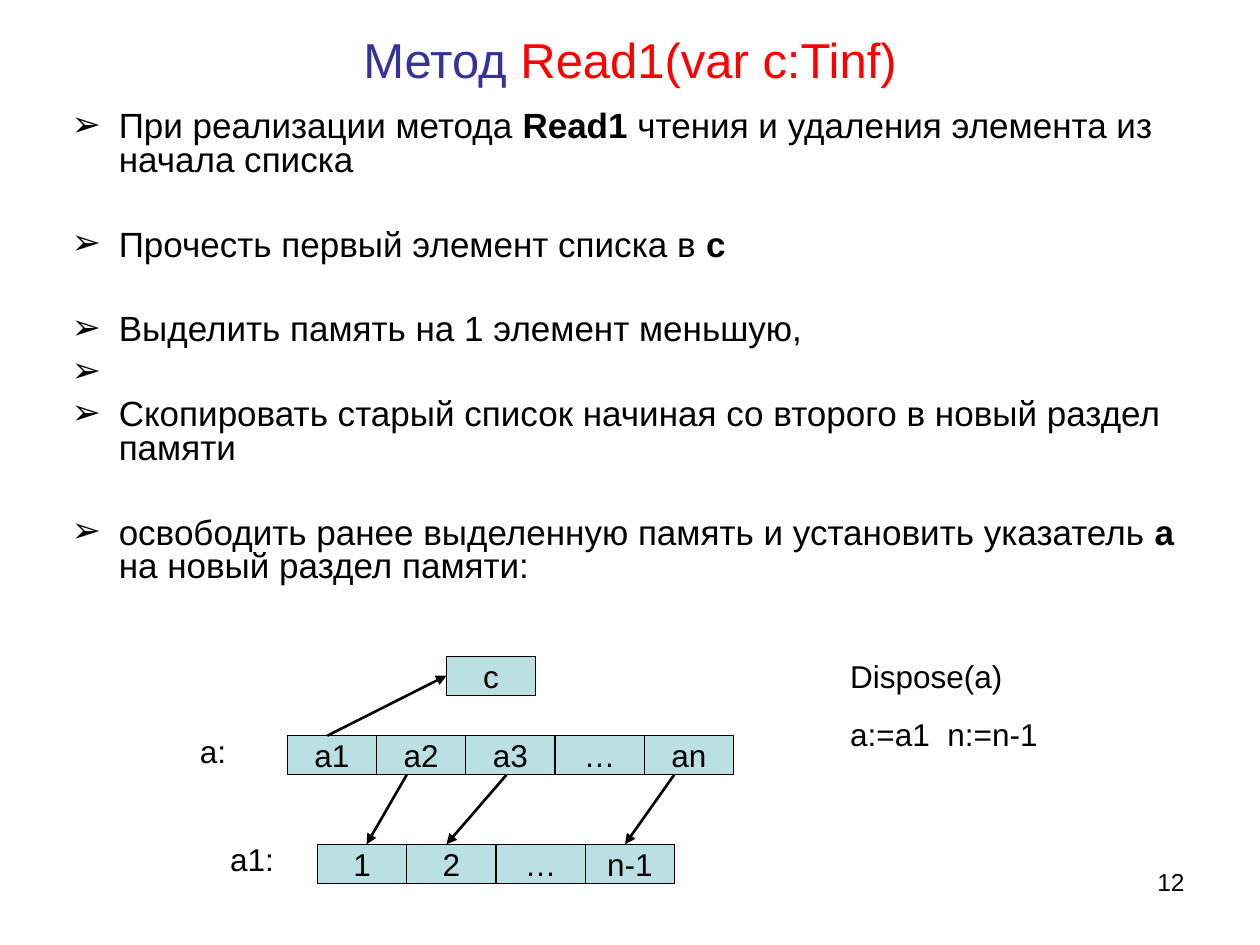
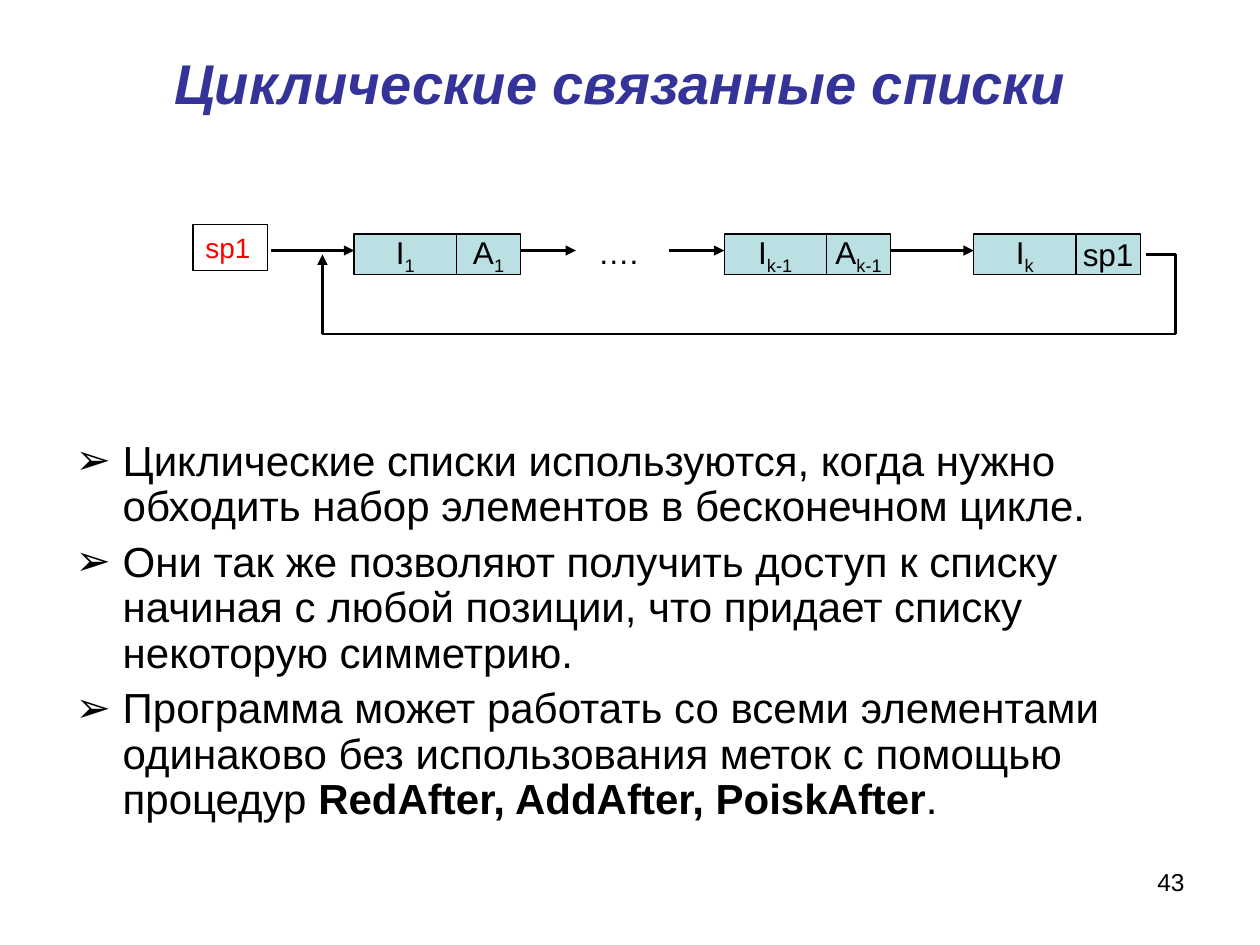
from dataclasses import dataclass
from itertools import accumulate
from typing import NamedTuple, Optional

from lxml.etree import SubElement
from pptx import Presentation
from pptx.dml.color import RGBColor as Rgb
from pptx.enum.shapes import MSO_CONNECTOR as Link, MSO_SHAPE as Form
from pptx.enum.text import MSO_ANCHOR as Anchor, MSO_AUTO_SIZE as Fit, PP_ALIGN as Align
from pptx.oxml.ns import qn
from pptx.util import Cm, Pt


@dataclass(frozen=True)
class Theme:
    font: str = "Arial"
    ink: str = "000000"
    head: str = "333399"
    red: str = "FF0000"
    cell: str = "BBE0E3"
    edge: float = 0.74
    wire: float = 1.5
    text: float = 18
    small: float = 16
    page: float = 14
    sub: str = "-25000"


class Span(NamedTuple):
    text: str
    bold: bool = False
    slant: bool = False
    sub: bool = False
    color: Optional[str] = None
    size: Optional[float] = None


class Para(NamedTuple):
    spans: list[Span]
    before: float = 0


class Box(NamedTuple):
    left: float
    top: float
    width: float
    height: float


class Wire(NamedTuple):
    x1: float
    y1: float
    x2: float
    y2: float
    arrow: bool = True
    width: float = 1.5


class Node(NamedTuple):
    left: float
    data: list[Span]
    link: list[Span]


THEME = Theme()
CELL_W, CELL_H = 1.8, 0.79
NODE_W, NODE_H = (2.06, 1.3), 0.81


def place(shape, box: Box) -> None:
    shape.left, shape.top, shape.width, shape.height = map(Cm, box)


def write(frame, paras: list[Para], size: float, color: str = THEME.ink,
          align: Align = Align.LEFT, lead: float = 1.0) -> None:
    for i, item in enumerate(paras):
        para = frame.add_paragraph() if i else frame.paragraphs[0]
        para.alignment = align
        para.line_spacing = lead
        para.space_before = Pt(item.before)
        for span in item.spans:
            run = para.add_run()
            run.text = span.text
            font = run.font
            font.name = THEME.font
            font.size = Pt(span.size or size)
            font.bold, font.italic = span.bold, span.slant
            font.color.rgb = Rgb.from_string(span.color or color)
            if span.sub:
                run._r.get_or_add_rPr().set("baseline", THEME.sub)


def add_title(slide, box: Box, spans: list[Span], size: float) -> None:
    title = slide.shapes.title
    place(title, box)
    frame = title.text_frame
    frame.auto_size = Fit.NONE
    frame.vertical_anchor = Anchor.MIDDLE
    write(frame, [Para(spans)], size, THEME.head, Align.CENTER)


def add_list(slide, box: Box, paras: list[Para], size: float, lead: float) -> None:
    body = slide.placeholders[1]
    place(body, box)
    frame = body.text_frame
    frame.auto_size = Fit.NONE
    write(frame, paras, size, lead=lead)
    for para in frame.paragraphs:
        props = para._p.get_or_add_pPr()
        props.set("marL", str(Cm(0.95)))
        props.set("indent", str(-Cm(0.95)))
        SubElement(SubElement(props, qn("a:buClr")), qn("a:srgbClr"), val=THEME.ink)
        SubElement(props, qn("a:buFont"), typeface=THEME.font)
        SubElement(props, qn("a:buChar"), char="➢")


def add_note(slide, box: Box, lines: list[str], align: Align = Align.LEFT,
             size: float = THEME.text, before: float = 11.2):
    note = slide.shapes.add_textbox(*map(Cm, box))
    note.text_frame.word_wrap = True
    write(note.text_frame, [Para([Span(line)], before) for line in lines], size, align=align)
    return note


def add_page(slide, number: str) -> None:
    add_note(slide, Box(18.21, 17.35, 5.92, 1.32), [number], Align.RIGHT, THEME.page, 0)


def add_rect(slide, box: Box, fill: Optional[str] = THEME.cell):
    rect = slide.shapes.add_shape(Form.RECTANGLE, *map(Cm, box))
    rect.shadow.inherit = False
    if fill:
        rect.fill.solid()
        rect.fill.fore_color.rgb = Rgb.from_string(fill)
    else:
        rect.fill.background()
    rect.line.color.rgb = Rgb.from_string(THEME.ink)
    rect.line.width = Pt(THEME.edge)
    return rect


def add_cell(slide, box: Box, spans: list[Span]) -> None:
    frame = add_rect(slide, box).text_frame
    frame.word_wrap = False
    frame.vertical_anchor = Anchor.MIDDLE
    write(frame, [Para(spans)], THEME.text, align=Align.CENTER)


def add_row(slide, left: float, top: float, names: list[str]) -> None:
    for i, name in enumerate(names):
        add_cell(slide, Box(left + i * CELL_W, top, CELL_W, CELL_H), [Span(name)])


def add_node(slide, node: Node, top: float) -> None:
    lefts = accumulate(NODE_W[:-1], initial=node.left)
    for left, width, spans in zip(lefts, NODE_W, (node.data, node.link)):
        add_cell(slide, Box(left, top, width, NODE_H), spans)


def add_wire(slide, wire: Wire) -> None:
    line = slide.shapes.add_connector(Link.STRAIGHT, *map(Cm, wire[:4]))
    line.line.color.rgb = Rgb.from_string(THEME.ink)
    line.line.width = Pt(wire.width)
    if wire.arrow:
        SubElement(line.line._get_or_add_ln(), qn("a:tailEnd"), type="triangle")
    SubElement(line._element.spPr, qn("a:effectLst"))


def draw_read(deck) -> None:
    slide = deck.slides.add_slide(deck.slide_layouts[1])
    add_title(slide, Box(1.27, 0.76, 22.86, 0.86),
              [Span("Метод "), Span("Read1(var c:Tinf)", color=THEME.red)], 28)
    near, far = 5, 29.2
    add_list(slide, Box(1.19, 2.13, 22.86, 10.31), [
        Para([Span("При реализации метода "), Span("Read1 ", bold=True),
              Span("чтения и удаления элемента из начала списка")], near),
        Para([Span("Прочесть первый элемент списка в "), Span("с", bold=True)], far),
        Para([Span("Выделить память на 1 элемент меньшую,")], far),
        Para([Span(" ")], near),
        Para([Span("Скопировать старый список начиная со второго в новый раздел памяти")], near),
        Para([Span("освободить ранее выделенную память и установить указатель "),
              Span("a", bold=True), Span(" на новый раздел памяти: ")], far),
    ], 20, 0.8)

    old, new = 14.83, 17.02
    add_row(slide, 5.79, old, ["a1", "a2", "a3", "…", "an"])
    add_note(slide, Box(3.78, 14.63, 1.4, 1.02), ["a:"])
    add_row(slide, 6.4, new, ["1", "2", "…", "n-1"])
    add_note(slide, Box(4.39, 16.81, 1.4, 1.02), ["a1:"])
    for start, end in ((8.2, 7.39), (10.21, 9), (13.59, 12.6)):
        add_wire(slide, Wire(start, old + CELL_H, end, new))
    add_row(slide, 9, 13.23, ["c"])
    add_wire(slide, Wire(6.6, old, 9, 13.62))
    code = add_note(slide, Box(16.89, 13.13, 5, 2.18), ["Dispose(a)", "a:=a1\tn:=n-1"])
    props = code.text_frame.paragraphs[1]._p.get_or_add_pPr()
    SubElement(SubElement(props, qn("a:tabLst")), qn("a:tab"), pos=str(Cm(1.96)), algn="l")
    add_page(slide, "12")


def draw_ring(deck) -> None:
    slide = deck.slides.add_slide(deck.slide_layouts[1])
    add_title(slide, Box(1.27, 0.76, 22.86, 1.55),
              [Span("Циклические связанные списки", bold=True, slant=True),
               Span(" ", size=40, color=THEME.ink)], 32)
    add_list(slide, Box(1.27, 8.74, 22.86, 8.28), [
        Para([Span("Циклические списки используются, когда нужно обходить набор "
                   "элементов в бесконечном цикле. ")], 6),
        Para([Span("Они так же позволяют получить доступ к списку начиная с любой "
                   "позиции, что придает списку некоторую симметрию. ")], 6),
        Para([Span("Программа может работать со всеми элементами одинаково без "
                   "использования меток с помощью процедур "),
              Span("RedAfter, AddAfter, PoiskAfter", bold=True), Span(". ")], 6),
    ], 24, 0.9)

    nodes = [
        Node(7.14, [Span("I"), Span("1", sub=True)], [Span("A"), Span("1", sub=True)]),
        Node(14.6, [Span("I"), Span("k-1", sub=True)], [Span("A"), Span("k-1", sub=True)]),
        Node(19.63, [Span("I"), Span("k", sub=True)], [Span("sp1")]),
    ]
    for node in nodes:
        add_node(slide, node, 4.72)
    first, prior, last = (node.left for node in nodes)
    span = sum(NODE_W)
    for start, end in ((5.46, first), (first + span, 11.61), (13.49, prior), (prior + span, last)):
        add_wire(slide, Wire(start, 5.05, end, 5.05))
    add_note(slide, Box(11.81, 4.57, 1.68, 1.02), ["…."])

    frame = add_rect(slide, Box(3.89, 4.52, 1.5, 0.94), None).text_frame
    frame.word_wrap = True
    frame.vertical_anchor = Anchor.TOP
    write(frame, [Para([Span("sp1")], 10)], THEME.small, THEME.red)

    left, right, top, low = 6.5, 23.7, 5.13, 6.73
    for wire in (Wire(23.11, top, right, top, False, 1.25),
                 Wire(right, top, right, low, False),
                 Wire(right, low, left, low, False),
                 Wire(left, low, left, top)):
        add_wire(slide, wire)
    add_page(slide, "43")


def main() -> None:
    deck = Presentation()
    deck.slide_width, deck.slide_height = Cm(25.4), Cm(19.05)
    draw_read(deck)
    draw_ring(deck)
    deck.save("out.pptx")


main()
